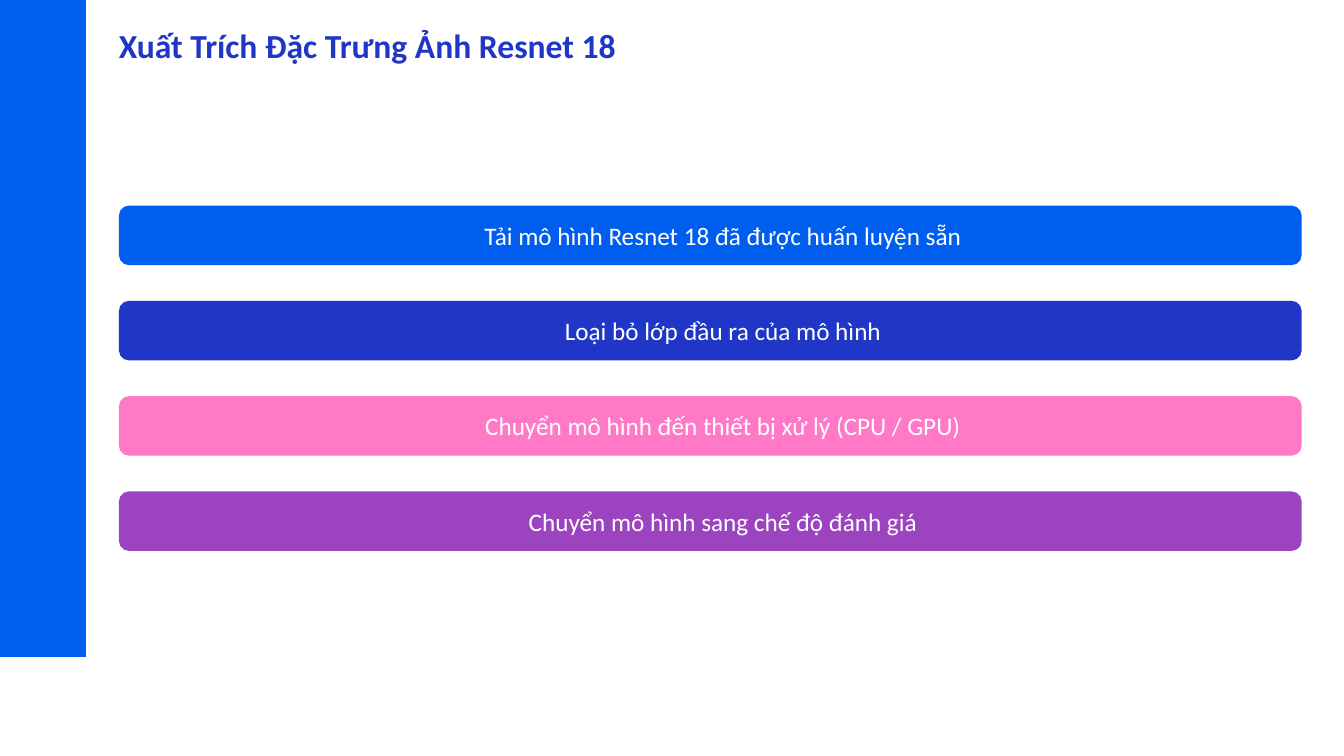
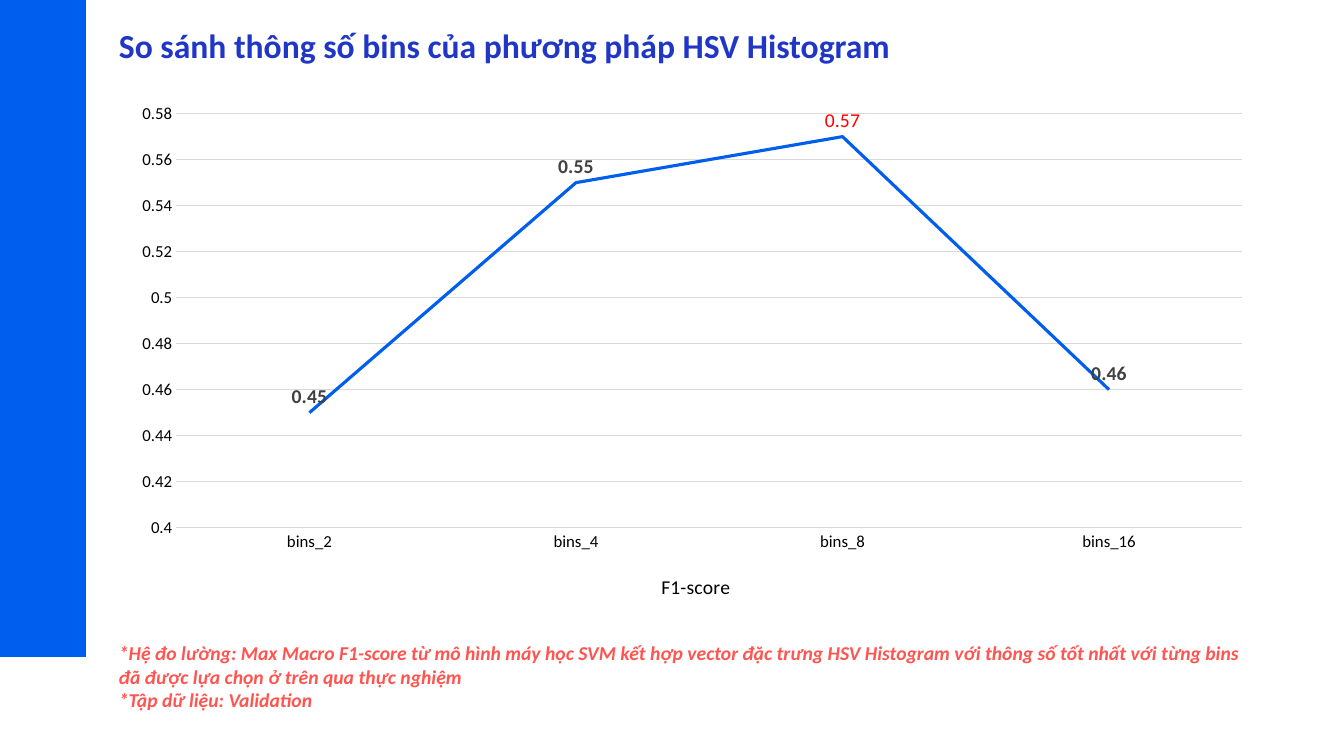
import lxml.etree
import pptx
import pptx.chart.data
import pptx.dml.color
import pptx.enum.chart
import pptx.enum.shapes
import pptx.enum.text
import pptx.oxml.ns
import pptx.util

FONT = "Calibri"
COLORS = {
    "blue": "005EEF",
    "navy": "1F36C7",
    "pink": "FF79C6",
    "purple": "9C44C0",
    "coral": "FF544F",
    "red": "FF0000",
    "white": "FFFFFF",
    "black": "000000",
    "label": "404040",
    "grid": "D9D9D9",
}
RGB = {name: pptx.dml.color.RGBColor.from_string(value) for name, value in COLORS.items()}

presentation = pptx.Presentation()
presentation.slide_width = pptx.util.Inches(13.33)
presentation.slide_height = pptx.util.Inches(7.5)
column = presentation.slide_width / 100
row = presentation.slide_height / 100
margin = 8.85 * column


def style_font(font, size, color, bold=False, italic=False):
    font.name = FONT
    font.size = pptx.util.Pt(size)
    font.bold = bold
    font.italic = italic
    font.color.rgb = RGB[color]


def place_in_chart(element, index, **shares):
    tag = pptx.oxml.ns.qn
    for previous in element.findall(tag("c:layout")):
        element.remove(previous)
    layout = lxml.etree.Element(tag("c:layout"))
    element.insert(index, layout)
    manual = lxml.etree.SubElement(layout, tag("c:manualLayout"))
    if "w" in shares:
        lxml.etree.SubElement(manual, tag("c:layoutTarget")).set("val", "inner")
    for mode in ("xMode", "yMode"):
        lxml.etree.SubElement(manual, tag("c:" + mode)).set("val", "edge")
    for name, share in shares.items():
        lxml.etree.SubElement(manual, tag("c:" + name)).set("val", str(share))


title_layout = presentation.slide_layouts.get_by_name("Title Only")
layout_title = title_layout.placeholders[0]
layout_title.left, layout_title.top = int(margin), int(3.33 * row)
layout_title.width, layout_title.height = int(88 * column), int(5.6 * row)

slides = []
for heading in (
    "Xuất Trích Đặc Trưng Ảnh Resnet 18",
    "So sánh thông số bins của phương pháp HSV Histogram",
):
    slide = presentation.slides.add_slide(title_layout)
    frame = slide.shapes.title.text_frame
    frame.margin_left = frame.margin_top = frame.margin_right = frame.margin_bottom = 0
    frame.auto_size = pptx.enum.text.MSO_AUTO_SIZE.NONE
    frame.vertical_anchor = pptx.enum.text.MSO_ANCHOR.TOP
    paragraph = frame.paragraphs[0]
    paragraph.alignment = pptx.enum.text.PP_ALIGN.LEFT
    run = paragraph.add_run()
    run.text = heading
    style_font(run.font, 24, "navy", bold=True)

    band = slide.shapes.add_shape(
        pptx.enum.shapes.MSO_SHAPE.RECTANGLE, 0, 0, int(6.4 * column), int(86.9 * row)
    )
    band.shadow.inherit = False
    band.fill.solid()
    band.fill.fore_color.rgb = RGB["blue"]
    band.line.fill.background()
    slides.append(slide)

steps_slide, chart_slide = slides

steps = [
    ("Tải mô hình Resnet 18 đã được huấn luyện sẵn", "blue"),
    ("Loại bỏ lớp đầu ra của mô hình", "navy"),
    ("Chuyển mô hình đến thiết bị xử lý (CPU / GPU)", "pink"),
    ("Chuyển mô hình sang chế độ đánh giá", "purple"),
]
for index, (text, color) in enumerate(steps):
    bar = steps_slide.shapes.add_shape(
        pptx.enum.shapes.MSO_SHAPE.ROUNDED_RECTANGLE,
        int(margin),
        int((27.2 + 12.6 * index) * row),
        int(88 * column),
        int(7.87 * row),
    )
    bar.shadow.inherit = False
    bar.fill.solid()
    bar.fill.fore_color.rgb = RGB[color]
    bar.line.fill.background()
    frame = bar.text_frame
    frame.margin_left = int(1.88 * column)
    frame.margin_top = frame.margin_right = frame.margin_bottom = 0
    frame.vertical_anchor = pptx.enum.text.MSO_ANCHOR.MIDDLE
    paragraph = frame.paragraphs[0]
    paragraph.alignment = pptx.enum.text.PP_ALIGN.CENTER
    run = paragraph.add_run()
    run.text = text
    style_font(run.font, 18, "white")

note = chart_slide.shapes.add_textbox(
    int(margin), int(84.8 * row), int(85.3 * column), int(10.13 * row)
)
frame = note.text_frame
frame.word_wrap = True
frame.margin_left = frame.margin_top = frame.margin_right = frame.margin_bottom = 0
for index, text in enumerate((
    "*Hệ đo lường: Max Macro F1-score từ mô hình máy học SVM kết hợp vector đặc trưng "
    "HSV Histogram với thông số tốt nhất với từng bins đã được lựa chọn ở trên qua thực nghiệm",
    "*Tập dữ liệu: Validation",
)):
    paragraph = frame.add_paragraph() if index else frame.paragraphs[0]
    run = paragraph.add_run()
    run.text = text
    style_font(run.font, 14, "coral", bold=True, italic=True)

chart_data = pptx.chart.data.CategoryChartData()
chart_data.categories = ["bins_2", "bins_4", "bins_8", "bins_16"]
chart_data.add_series("Series 1", [0.45, 0.55, 0.57, 0.46])
chart = chart_slide.shapes.add_chart(
    pptx.enum.chart.XL_CHART_TYPE.LINE,
    int(margin),
    int(12.27 * row),
    int(85.3 * column),
    int(69.33 * row),
    chart_data,
).chart
chart.has_title = False
chart.has_legend = False
style_font(chart.font, 10, "black")
plot_area = chart.element.find(".//" + pptx.oxml.ns.qn("c:plotArea"))
place_in_chart(plot_area, 0, x=0.05, y=0.04, w=0.93, h=0.79)

for axis in (chart.category_axis, chart.value_axis):
    axis.major_tick_mark = pptx.enum.chart.XL_TICK_MARK.NONE
    axis.minor_tick_mark = pptx.enum.chart.XL_TICK_MARK.NONE
    style_font(axis.tick_labels.font, 12, "black")

category_axis = chart.category_axis
axis_title = category_axis.axis_title
run = axis_title.text_frame.paragraphs[0].add_run()
run.text = "F1-score"
style_font(run.font, 14, "black")
place_in_chart(axis_title.element, 1, x=0.47, y=0.91)

value_axis = chart.value_axis
value_axis.minimum_scale = 0.4
value_axis.maximum_scale = 0.58
value_axis.major_unit = 0.02
value_axis.has_major_gridlines = True
value_axis.format.line.fill.background()
for line in (category_axis.format.line, value_axis.major_gridlines.format.line):
    line.color.rgb = RGB["grid"]
    line.width = pptx.util.Pt(0.75)

plot = chart.plots[0]
plot.vary_by_categories = False
series = plot.series[0]
series.smooth = False
series.marker.style = pptx.enum.chart.XL_MARKER_STYLE.NONE
series.format.line.color.rgb = RGB["blue"]
series.format.line.width = pptx.util.Pt(2.25)

labels = series.data_labels
labels.show_value = True
labels.position = pptx.enum.chart.XL_LABEL_POSITION.ABOVE
style_font(labels.font, 14, "label", bold=True)
best_label = series.points[2].data_label
style_font(best_label.font, 14, "red")
best_label.position = pptx.enum.chart.XL_LABEL_POSITION.ABOVE

presentation.save("out.pptx")
